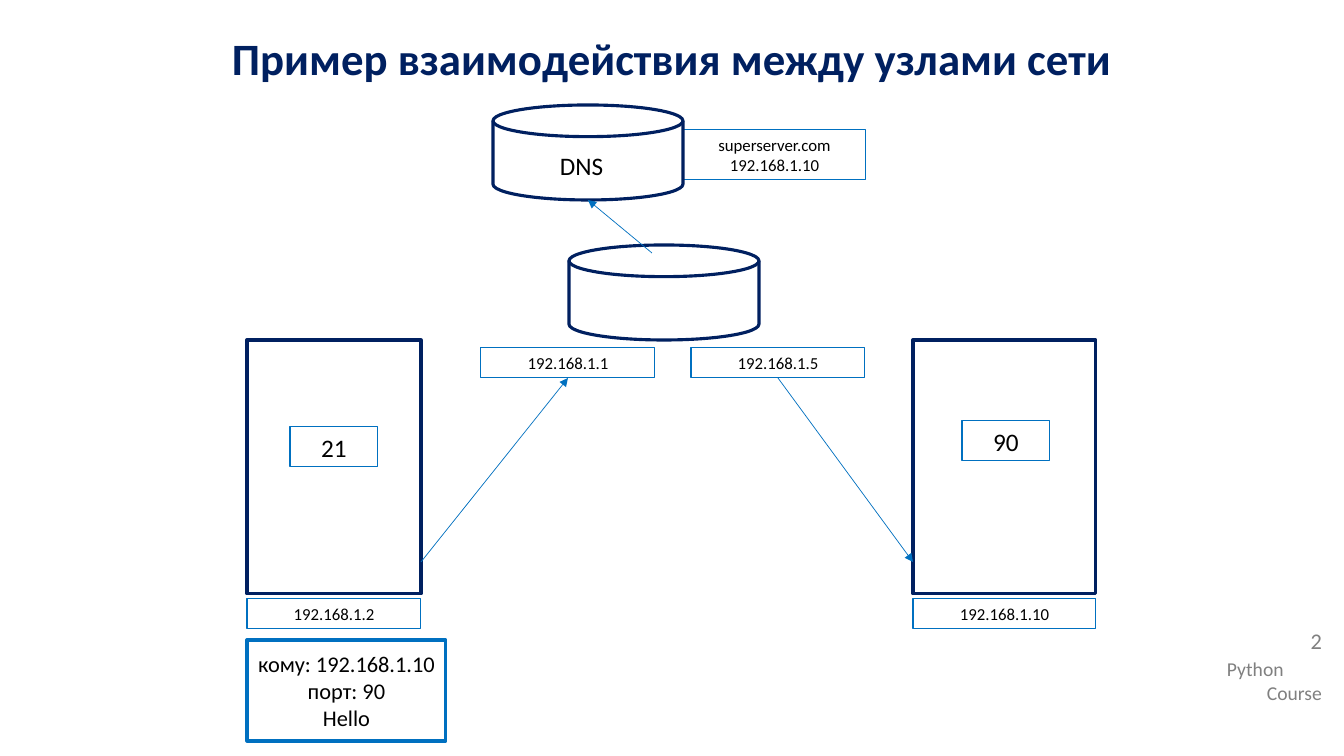
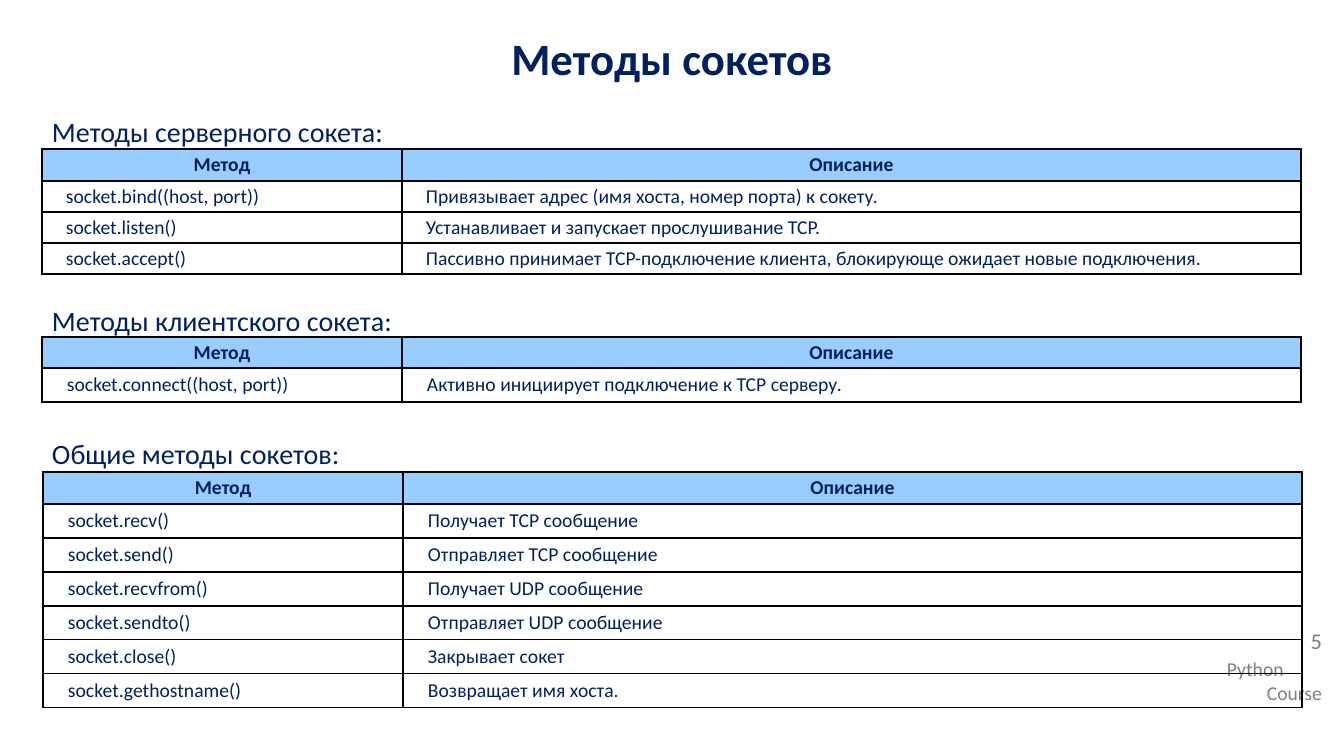
from dataclasses import dataclass
from typing import NamedTuple, Optional

from lxml import etree
from pptx import Presentation
from pptx.dml.color import RGBColor
from pptx.enum.shapes import MSO_CONNECTOR, MSO_SHAPE
from pptx.enum.text import MSO_ANCHOR, PP_ALIGN
from pptx.oxml.ns import qn
from pptx.util import Emu, Pt

LEFT, CENTER, RIGHT, JUSTIFY = PP_ALIGN.LEFT, PP_ALIGN.CENTER, PP_ALIGN.RIGHT, PP_ALIGN.JUSTIFY
TOP, MIDDLE = MSO_ANCHOR.TOP, MSO_ANCHOR.MIDDLE
RECTANGLE, DISK = MSO_SHAPE.RECTANGLE, MSO_SHAPE.FLOWCHART_MAGNETIC_DISK
STRAIGHT = MSO_CONNECTOR.STRAIGHT
SIDE_TOP, SIDE_BOTTOM = 0, 2
EMU_PER_PX = 914400 / 100.8


def px(length: int) -> Emu:
    return Emu(round(length * EMU_PER_PX))


class TextStyle(NamedTuple):
    size: int
    color: RGBColor
    bold: bool = False


@dataclass(frozen=True)
class Theme:
    font: str = "Calibri"
    navy: RGBColor = RGBColor(0x00, 0x20, 0x60)
    blue: RGBColor = RGBColor(0x00, 0x70, 0xC0)
    black: RGBColor = RGBColor(0, 0, 0)
    gray: RGBColor = RGBColor(0x80, 0x80, 0x80)
    header_fill: RGBColor = RGBColor(0x99, 0xCC, 0xFF)
    thick: float = 2.25
    thin: float = 0.75
    arrow: float = 0.5
    border: float = 1

    def title(self) -> TextStyle:
        return TextStyle(32, self.navy, True)

    def heading(self) -> TextStyle:
        return TextStyle(20, self.navy)

    def cell(self, bold: bool) -> TextStyle:
        return TextStyle(14, self.navy, bold)

    def footer(self, size: int) -> TextStyle:
        return TextStyle(size, self.gray)

    def label(self, size: int) -> TextStyle:
        return TextStyle(size, self.black)


THEME = Theme()


class Area(NamedTuple):
    left: int
    top: int
    width: int
    height: int

    def emu(self) -> list[Emu]:
        return [px(length) for length in self]


class Line(NamedTuple):
    """One paragraph; gap is the space before it in points."""
    text: str
    align: PP_ALIGN = LEFT
    gap: int = 0


class Node(NamedTuple):
    area: Area
    text: str = ""
    size: int = 12
    kind: MSO_SHAPE = RECTANGLE
    color: RGBColor = THEME.blue
    width: float = THEME.thin
    anchor: MSO_ANCHOR = TOP


class Arrow(NamedTuple):
    start: tuple[int, int]
    end: tuple[int, int]
    start_node: Optional[str] = None
    end_node: Optional[str] = None


class MethodTable(NamedTuple):
    left: int
    top: int
    header_height: int
    row_height: int
    inset: tuple[int, int]  # horizontal, vertical
    anchor: MSO_ANCHOR
    rows: list[tuple[str, str]]


HOST = {"color": THEME.navy, "width": THEME.thick}
NODES = {
    "client": Node(Area(247, 340, 174, 254), **HOST),
    "server": Node(Area(913, 340, 183, 254), **HOST),
    "router": Node(Area(569, 245, 190, 95), kind=DISK, **HOST),
    "client port": Node(Area(290, 427, 88, 40), "21", 18),
    "client address": Node(Area(247, 599, 174, 30), "192.168.1.2"),
    "server port": Node(Area(962, 421, 88, 40), "90", 18),
    "server address": Node(Area(913, 599, 183, 30), "192.168.1.10"),
    "router inlet": Node(Area(481, 348, 174, 30), "192.168.1.1"),
    "router outlet": Node(Area(691, 348, 174, 30), "192.168.1.5"),
    "message": Node(Area(247, 640, 199, 101), "кому: 192.168.1.10\nпорт: 90\nHello", 16,
                    width=THEME.thick, anchor=MIDDLE),
    "dns record": Node(Area(683, 130, 183, 50), "superserver.com\n192.168.1.10"),
    "dns": Node(Area(493, 105, 190, 95), kind=DISK, **HOST),
}
ARROWS = [
    Arrow((421, 562), (568, 378), end_node="router inlet"),
    Arrow((778, 378), (913, 562), start_node="router outlet"),
    Arrow((652, 253), (588, 200)),
]

COLUMN_WIDTHS = (360, 899)
HEADER = ("Метод", "Описание")
CELL_INDENT = 20
HEADINGS = [
    Line("Методы серверного сокета:", JUSTIFY),
    Line("Методы клиентского сокета:", JUSTIFY, 111),
    Line("Общие методы сокетов:", JUSTIFY, 71),
]
TABLES = [
    MethodTable(42, 149, 32, 31, (4, 3), MIDDLE, [
        ("socket.bind((host, port))", "Привязывает адрес (имя хоста, номер порта) к сокету."),
        ("socket.listen()", "Устанавливает и запускает прослушивание TCP."),
        ("socket.accept()", "Пассивно принимает TCP-подключение клиента, "
                            "блокирующе ожидает новые подключения."),
    ]),
    MethodTable(42, 337, 31, 34, (5, 5), TOP, [
        ("socket.connect((host, port))", "Активно инициирует подключение к TCP серверу."),
    ]),
    MethodTable(43, 472, 32, 34, (5, 5), TOP, [
        ("socket.recv()", "Получает TCP сообщение"),
        ("socket.send()", "Отправляет TCP сообщение"),
        ("socket.recvfrom()", "Получает UDP сообщение"),
        ("socket.sendto()", "Отправляет UDP сообщение"),
        ("socket.close()", "Закрывает сокет"),
        ("socket.gethostname()", "Возвращает имя хоста."),
    ]),
]


def set_all(target, values: dict) -> None:
    for name, value in values.items():
        setattr(target, name, value)


def write(frame, lines: list[Line], style: TextStyle) -> None:
    for index, line in enumerate(lines):
        para = frame.add_paragraph() if index else frame.paragraphs[0]
        para.alignment = line.align
        if line.gap:
            para.space_before = Pt(line.gap)
        span = para.add_run()
        span.text = line.text
        set_all(span.font, {"name": THEME.font, "size": Pt(style.size), "bold": style.bold})
        span.font.color.rgb = style.color


def set_frame(frame, anchor: MSO_ANCHOR = TOP, wrap: bool = True,
              inset: tuple[int, int] = (10, 5)) -> None:
    across, down = map(px, inset)
    set_all(frame, {"word_wrap": wrap, "vertical_anchor": anchor,
                    "margin_left": across, "margin_right": across,
                    "margin_top": down, "margin_bottom": down})


def add_text(page, area: Area, lines: list[Line], style: TextStyle, **frame_format):
    box = page.shapes.add_textbox(*area.emu())
    set_frame(box.text_frame, **frame_format)
    write(box.text_frame, lines, style)
    return box


def add_page(deck, title: str, number: int):
    """Add a blank slide with the shared footer, number and title."""
    page = deck.slides.add_slide(deck.slide_layouts[6])
    add_text(page, Area(1217, 652, 115, 57),
             [Line("Python"), Line("Course", RIGHT)], THEME.footer(14))
    number_box = add_text(page, Area(1217, 625, 115, 45),
                          [Line(str(number), RIGHT)], THEME.footer(16))
    number_box.text_frame.paragraphs[0].line_spacing = 0.9
    add_text(page, Area(0, 23, 1344, 77), [Line(title, CENTER)], THEME.title(), inset=(10, 8))
    return page


def add_node(page, node: Node):
    shape = page.shapes.add_shape(node.kind, *node.area.emu())
    shape.shadow.inherit = False
    shape.fill.background()
    shape.line.color.rgb = node.color
    shape.line.width = Pt(node.width)
    if node.text:
        set_frame(shape.text_frame, node.anchor)
        write(shape.text_frame, [Line(text, CENTER) for text in node.text.split("\n")],
              THEME.label(node.size))
    return shape


def add_arrow(page, arrow: Arrow, shapes: dict) -> None:
    connector = page.shapes.add_connector(STRAIGHT, *map(px, arrow.start + arrow.end))
    if arrow.start_node:
        connector.begin_connect(shapes[arrow.start_node], SIDE_BOTTOM)
    if arrow.end_node:
        connector.end_connect(shapes[arrow.end_node], SIDE_BOTTOM)
    connector.line.color.rgb = THEME.blue
    connector.line.width = Pt(THEME.arrow)
    etree.SubElement(connector.line._get_or_add_ln(), qn("a:tailEnd"), type="triangle")
    etree.SubElement(connector._element.spPr, qn("a:effectLst"))


def add_borders(cell) -> None:
    properties = cell._tc.get_or_add_tcPr()
    for side in ("lnL", "lnR", "lnT", "lnB"):
        line = etree.SubElement(properties, qn(f"a:{side}"), w=str(Pt(THEME.border)))
        fill = etree.SubElement(line, qn("a:solidFill"))
        etree.SubElement(fill, qn("a:srgbClr"), val=str(THEME.black))


def fill_cell(cell, text: str, is_header: bool, methods: MethodTable) -> None:
    across, down = (1, 0) if is_header else methods.inset
    set_all(cell, {"vertical_anchor": MIDDLE if is_header else methods.anchor,
                   "margin_left": px(across), "margin_right": px(across),
                   "margin_top": px(down), "margin_bottom": px(down)})
    add_borders(cell)
    write(cell.text_frame, [Line(text, CENTER if is_header else LEFT)], THEME.cell(is_header))
    if is_header:
        cell.fill.solid()
        cell.fill.fore_color.rgb = THEME.header_fill
    else:
        cell.fill.background()
        indent = cell.text_frame.paragraphs[0]._p.get_or_add_pPr()
        indent.set("marL", str(px(CELL_INDENT)))
        indent.set("indent", "0")


def add_methods(page, methods: MethodTable) -> None:
    rows = [HEADER, *methods.rows]
    heights = [methods.header_height] + [methods.row_height] * len(methods.rows)
    area = Area(methods.left, methods.top, sum(COLUMN_WIDTHS), sum(heights))
    table = page.shapes.add_table(len(rows), len(HEADER), *area.emu()).table
    set_all(table, {"first_row": False, "horz_banding": False})
    for column, width in zip(table.columns, COLUMN_WIDTHS):
        column.width = px(width)
    for row_index, (texts, height) in enumerate(zip(rows, heights)):
        table.rows[row_index].height = px(height)
        for column_index, text in enumerate(texts):
            fill_cell(table.cell(row_index, column_index), text, row_index == 0, methods)


def build_network(deck) -> None:
    page = add_page(deck, "Пример взаимодействия между узлами сети", 2)
    shapes = {name: add_node(page, node) for name, node in NODES.items()}
    add_text(page, Area(550, 145, 77, 40), [Line("DNS")], THEME.label(18), wrap=False)
    for arrow in ARROWS:
        add_arrow(page, arrow, shapes)


def build_methods(deck) -> None:
    page = add_page(deck, "Методы сокетов", 5)
    add_text(page, Area(42, 109, 1259, 628), HEADINGS, THEME.heading())
    for methods in TABLES:
        add_methods(page, methods)


def main() -> None:
    deck = Presentation()
    set_all(deck, {"slide_width": px(1344), "slide_height": px(756)})
    build_network(deck)
    build_methods(deck)
    deck.save("out.pptx")


if __name__ == "__main__":
    main()
